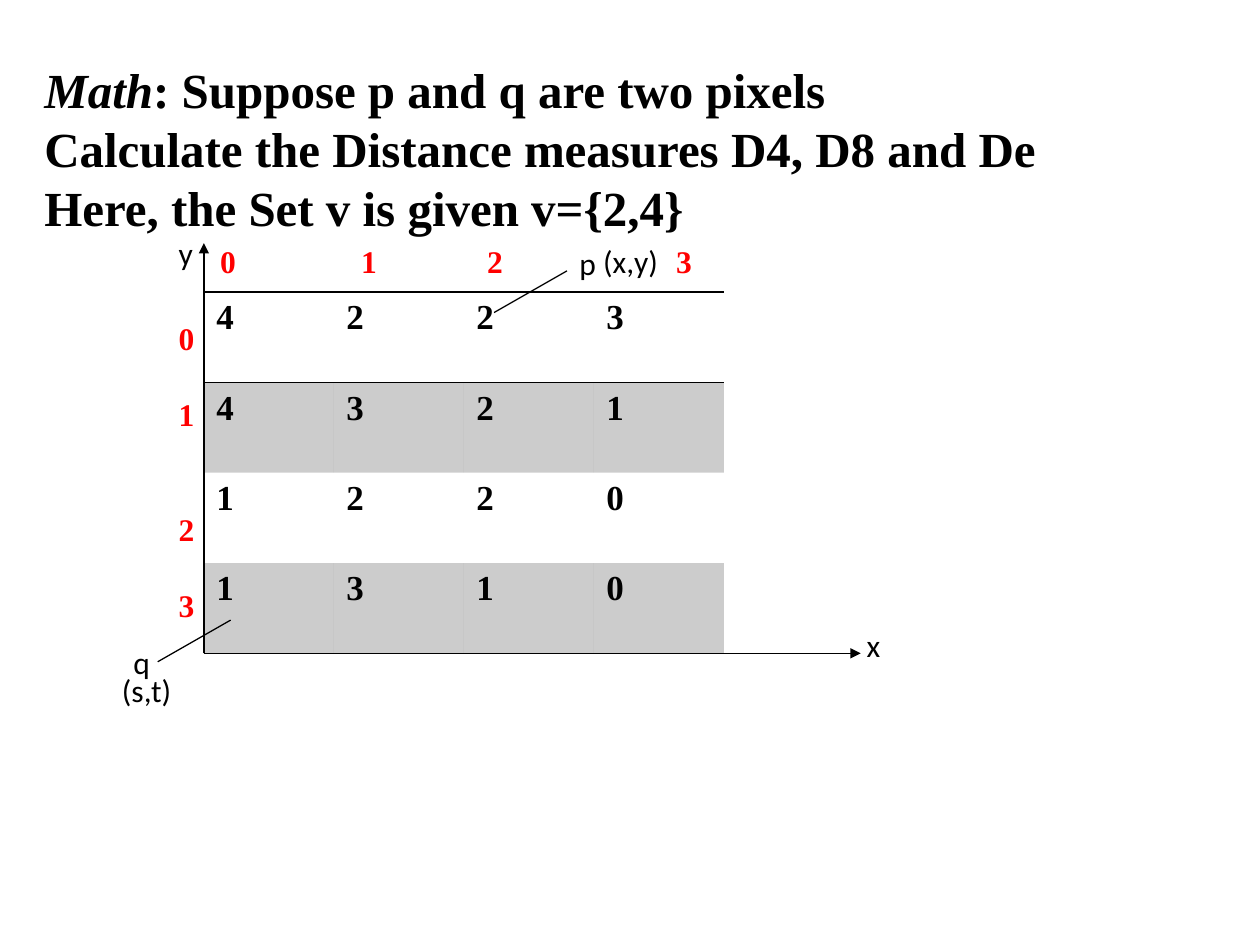
from lxml.etree import SubElement
from pptx import Presentation
from pptx.dml.color import RGBColor
from pptx.enum.shapes import MSO_CONNECTOR
from pptx.enum.text import MSO_ANCHOR, MSO_AUTO_SIZE, PP_ALIGN
from pptx.oxml import parse_xml
from pptx.oxml.ns import nsdecls, qn
from pptx.util import Cm, Pt

COLORS = {"ink": "000000", "index": "FF0000"}
SERIF, SANS = "Times New Roman", "Calibri"
NO_STYLE = "{2D5ABB26-0587-4C30-8999-92F81FD0307C}"
PIXELS = ["4223", "4321", "1220", "1310"]
COLUMN_WIDTH, ROW_HEIGHT = 2.62, 1.82
TABLE_WIDTH = COLUMN_WIDTH * len(PIXELS[0])
TABLE_HEIGHT = ROW_HEIGHT * len(PIXELS)


def set_font(paragraph, name, size, color="ink", bold=False):
    font = paragraph.font
    font.name, font.size, font.bold = name, Pt(size), bold
    font.color.rgb = RGBColor.from_string(COLORS[color])


def add_title(slide, left, top, width, height):
    title = slide.shapes.title
    title.left, title.top, title.width, title.height = (
        Cm(length) for length in (left, top, width, height))
    frame = title.text_frame
    frame.text = (": Suppose p and q are two pixels\n"
                  "Calculate the Distance measures D4, D8 and De\n"
                  "Here, the Set v is given v={2,4}")
    frame.auto_size = MSO_AUTO_SIZE.NONE
    frame.vertical_anchor = MSO_ANCHOR.TOP
    first = frame.paragraphs[0]
    rest = first.runs[0].text
    first.runs[0].text = "Math"
    first.runs[0].font.italic = True
    first.add_run().text = rest
    for paragraph in frame.paragraphs:
        paragraph.alignment = PP_ALIGN.LEFT
        set_font(paragraph, SERIF, 28, bold=True)


def add_border(cell, side):
    line = parse_xml(
        f'<a:{side} {nsdecls("a")} w="12700"><a:solidFill>'
        f'<a:srgbClr val="{COLORS["ink"]}"/></a:solidFill></a:{side}>')
    properties = cell._tc.get_or_add_tcPr()
    properties.insert(len(properties.findall(qn("a:lnT"))), line)


def add_pixel_table(slide, left, top):
    frame = slide.shapes.add_table(
        len(PIXELS), len(PIXELS[0]), Cm(left), Cm(top),
        Cm(TABLE_WIDTH), Cm(TABLE_HEIGHT))
    table = frame.table
    table._tbl.tblPr.find(qn("a:tableStyleId")).text = NO_STYLE
    for row_number, values in enumerate(PIXELS):
        for column_number, value in enumerate(values):
            cell = table.cell(row_number, column_number)
            cell.text = value
            set_font(cell.text_frame.paragraphs[0], SERIF, 20, bold=True)
            if row_number % 2:
                cell.fill.solid()
                cell.fill.fore_color.rgb = RGBColor.from_string(COLORS["ink"])
                color = cell._tc.tcPr.find(".//" + qn("a:srgbClr"))
                SubElement(color, qn("a:alpha"), val="20000")
            else:
                cell.fill.background()
            if row_number == 0:
                add_border(cell, "lnT")
            if row_number in (0, len(PIXELS) - 1):
                add_border(cell, "lnB")


def add_line(slide, start, end, arrow=False):
    line = slide.shapes.add_connector(
        MSO_CONNECTOR.STRAIGHT, *(Cm(length) for length in (*start, *end)))
    line.line.width = Pt(0.75)
    line.line.color.rgb = RGBColor.from_string(COLORS["ink"])
    if arrow:
        SubElement(line.line._get_or_add_ln(), qn("a:tailEnd"), type="triangle")
    SubElement(line._element.spPr, qn("a:effectLst"))


def add_label(slide, text, left, top, width, height=1.02, wrap=False):
    box = slide.shapes.add_textbox(Cm(left), Cm(top), Cm(width), Cm(height))
    frame = box.text_frame
    frame.text = text
    frame.word_wrap = wrap
    for paragraph in frame.paragraphs:
        set_font(paragraph, SANS, 18)
    return frame.paragraphs


def add_indices(slide, left, top):
    rows = add_label(slide, "0\n1\n2\n3", left - 0.76, top + 0.41, 0.84, 6.4)
    for paragraph, gap in zip(rows, (0, 22, 44, 22)):
        paragraph.space_before = Pt(gap)
    columns = add_label(slide, "0\t1\t2\t3", left + 0.08, top - 1.14, 10.29, wrap=True)
    tabs = SubElement(columns[0]._p.get_or_add_pPr(), qn("a:tabLst"))
    for position in (2.84, 5.38, 9.19):
        SubElement(tabs, qn("a:tab"), pos=str(Cm(position)), algn="l")
    for paragraph in (*rows, *columns):
        set_font(paragraph, SERIF, 18, "index", bold=True)


def add_pixel_grid(slide, left, top):
    add_pixel_table(slide, left, top)
    bottom = top + TABLE_HEIGHT
    add_line(slide, (left + 0.54, bottom - 0.67), (left - 0.93, bottom + 0.17))
    add_line(slide, (left + 5.85, top + 0.41), (left + 7.32, top - 0.43))
    add_line(slide, (left, bottom), (left + 13.24, bottom), arrow=True)
    add_line(slide, (left, bottom), (left, top - 0.99), arrow=True)
    for text, x, y, width in (
            ("p", 7.32, -1.09, 0.86), ("q", -1.67, 6.94, 0.86),
            ("x", 13.11, 6.61, 0.79), ("y", -0.76, -1.29, 0.81),
            ("(s,t)", -1.9, 7.52, 1.52), ("(x,y)", 7.8, -1.14, 1.63)):
        add_label(slide, text, left + x, top + y, width)
    add_indices(slide, left, top)


def main():
    presentation = Presentation()
    presentation.slide_width, presentation.slide_height = Cm(25.4), Cm(19.05)
    slide = presentation.slides.add_slide(presentation.slide_layouts[5])
    add_title(slide, 0.64, 1.07, 24.33, 3.84)
    add_pixel_grid(slide, 4.11, 5.89)
    presentation.save("out.pptx")


if __name__ == "__main__":
    main()
